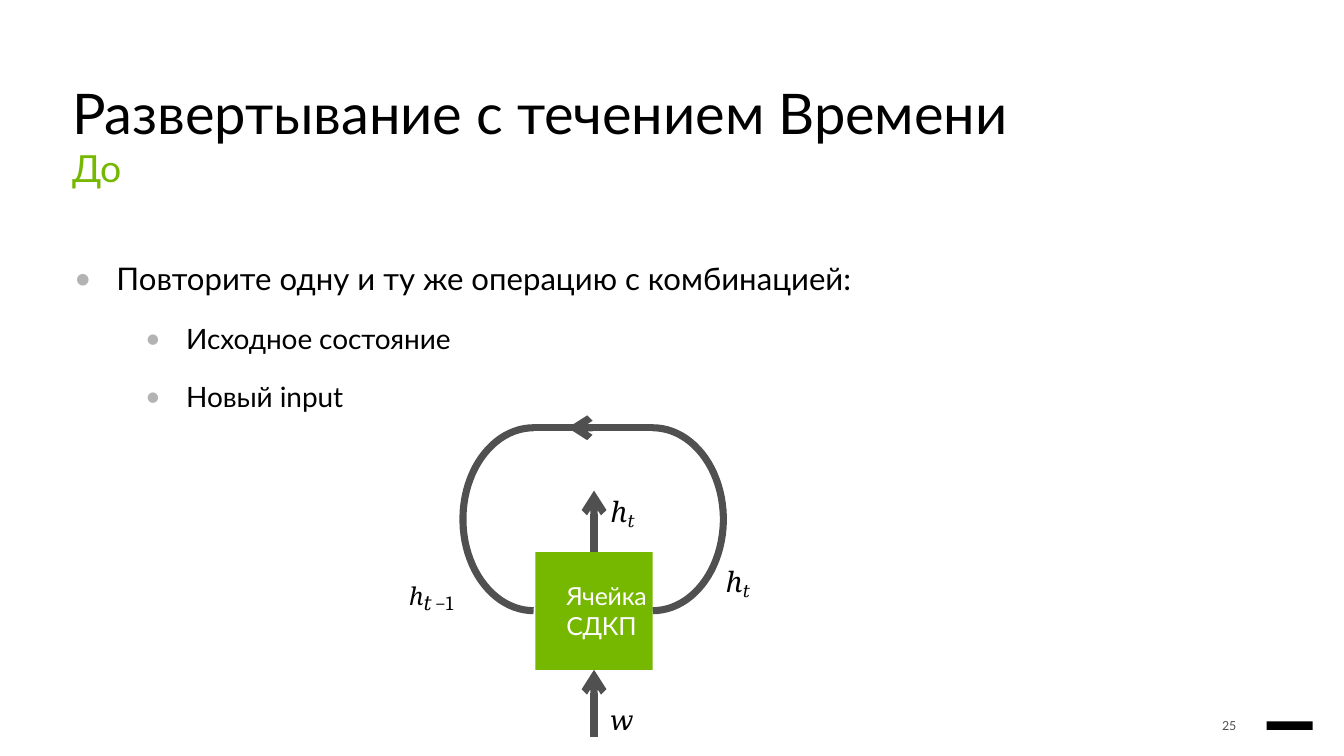
import math
from lxml import etree
from pptx import Presentation
from pptx.util import Pt
from pptx.dml.color import RGBColor
from pptx.enum import shapes as shp, text as txt
from pptx.oxml import ns

BLACK = RGBColor(0, 0, 0)
WHITE = RGBColor(255, 255, 255)
GREEN = RGBColor(0x76, 0xB8, 0x00)
DARK = RGBColor(0x50, 0x50, 0x50)
SILVER = RGBColor(0xB3, 0xB3, 0xB3)

SIZE = (864, 486)
BOX = (344.2, 355, 75.4, 75.6)
STROKE = 4.56
ROUND = (45.4, 58.8)
TOP = 275
MARK = (814.3, 463.7, 29.5, 5.6)

ITEM = dict(left=72.9, hang=-26.6, bullet=True)
TEXTS = [
    ((784.8, 460.8, 14, 11.5), [
        (dict(before=1), [("25", 8, DARK, {"spc": -10})])]),
    ((46.8, 165.6, 576.7, 100.8), [
        (dict(before=1.1, left=28.1, hang=-27.4, bullet=True),
         [("Повторите одну и ту же операцию с комбинацией:", 20, BLACK, {})]),
        (dict(ITEM, before=15.9), [("Исходное состояние", 18, BLACK, {"spc": -5})]),
        (dict(ITEM, before=15.8), [("Новый input", 18, BLACK, {"spc": -5})])]),
    ((45.4, 49.7, 626.4, 72.7), [
        (dict(before=1, line=42.9),
         [("Развертывание с течением Времени", 36, BLACK, {"spc": -5})]),
        (dict(line=28.4), [("До", 24, GREEN, {"spc": -5})])]),
    ((344.2, 372.2, 75.6, 39.6), [
        (dict(before=0.9, left=19.8), [("Ячейка СДКП", 16, WHITE, {"spc": -10})])]),
]

SUB = ("𝑡", 19.5, BLACK, {"spc": 250, "baseline": -15000})
STATE = [("ℎ", 18, BLACK, {"spc": -10}), SUB]
PAST = [("ℎ", 27, BLACK, {"spc": -10, "baseline": 11000}),
        ("𝑡", 13, BLACK, {"spc": 200}),
        ("−", 13, BLACK, {"spc": -20}),
        ("1", 13, BLACK, {"spc": 40})]
MATH = [
    ((391, 450.7, 20.9, 23.8), [("𝑤", 18, BLACK, {"spc": -60})]),
    ((465.8, 360.7, 18, 23.8), STATE),
    ((391.7, 315.4, 18, 23.8), STATE),
    ((262.1, 364.3, 35.3, 23.8), PAST),
]


def add_text(slide, place, paras, font):
    frame = slide.shapes.add_textbox(*map(Pt, place)).text_frame
    form = dict(word_wrap=True, auto_size=txt.MSO_AUTO_SIZE.NONE,
                margin_left=0, margin_right=0, margin_bottom=0, margin_top=Pt(1))
    for key, val in form.items():
        setattr(frame, key, val)
    for num, (fmt, runs) in enumerate(paras):
        para = frame.add_paragraph() if num else frame.paragraphs[0]
        para.space_before = Pt(fmt.get("before", 0))
        if "line" in fmt:
            para.line_spacing = Pt(fmt["line"])
        props = para._p.get_or_add_pPr()
        props.set("marL", str(int(Pt(fmt.get("left", 0.9)))))
        props.set("indent", str(int(Pt(fmt.get("hang", 0)))))
        if fmt.get("bullet"):
            tint = etree.SubElement(props, ns.qn("a:buClr"))
            etree.SubElement(tint, ns.qn("a:srgbClr"), val=str(SILVER))
            etree.SubElement(props, ns.qn("a:buFont"), typeface=font)
            etree.SubElement(props, ns.qn("a:buChar"), char="•")
        for words, size, color, extra in runs:
            run = para.add_run()
            run.text = words
            for key, val in dict(name=font, size=Pt(size)).items():
                setattr(run.font, key, val)
            run.font.color.rgb = color
            for key, val in extra.items():
                run._r.get_or_add_rPr().set(key, str(val))


def add_block(slide, place, color):
    block = slide.shapes.add_shape(shp.MSO_SHAPE.RECTANGLE, *map(Pt, place))
    block.shadow.inherit = False
    block.fill.solid()
    block.fill.fore_color.rgb = color
    block.line.fill.background()
    return block


def ink(line):
    line.color.rgb = DARK
    line.width = Pt(STROKE)


def add_curve(slide, points):
    dots = [tuple(map(Pt, dot)) for dot in points]
    pen = slide.shapes.build_freeform(*dots[0])
    pen.add_line_segments(dots[1:], close=False)
    curve = pen.convert_to_shape()
    curve.shadow.inherit = False
    curve.fill.background()
    ink(curve.line)


def add_line(slide, start, end, head=True):
    line = slide.shapes.add_connector(
        shp.MSO_CONNECTOR.STRAIGHT, *map(Pt, start + end))
    ink(line.line)
    if head:
        etree.SubElement(line.line._get_or_add_ln(), ns.qn("a:tailEnd"),
                         type="arrow", w="med", len="med")
    etree.SubElement(line._element.spPr, ns.qn("a:effectLst"))
    return line


def arc(x, y, side):
    wide, high = ROUND
    return [(x + side * wide * math.sin(math.radians(deg)),
             y - high * math.cos(math.radians(deg))) for deg in range(0, 181, 4)]


def main():
    deck = Presentation()
    deck.slide_width, deck.slide_height = map(Pt, SIZE)
    slide = deck.slides.add_slide(deck.slide_layouts[6])
    left, top, wide, high = BOX
    mid, base = left + wide / 2, top + high
    cell = add_block(slide, BOX, GREEN)
    add_block(slide, MARK, BLACK)

    add_line(slide, (mid, 473.8), (mid, base)).end_connect(cell, 2)
    add_line(slide, (mid, top), (mid, 315.4)).begin_connect(cell, 0)
    add_line(slide, (left + wide, TOP), (365, TOP))
    add_line(slide, (391.6, TOP), (342, TOP), head=False)
    for x, side in [(left + wide, 1), (left - 1.2, -1)]:
        add_curve(slide, arc(x, TOP + ROUND[1], side))

    for place, paras in TEXTS:
        add_text(slide, place, paras, "Lato")
    for place, runs in MATH:
        add_text(slide, place, [(dict(before=1), runs)], "Cambria")
    deck.save("out.pptx")


if __name__ == "__main__":
    main()
